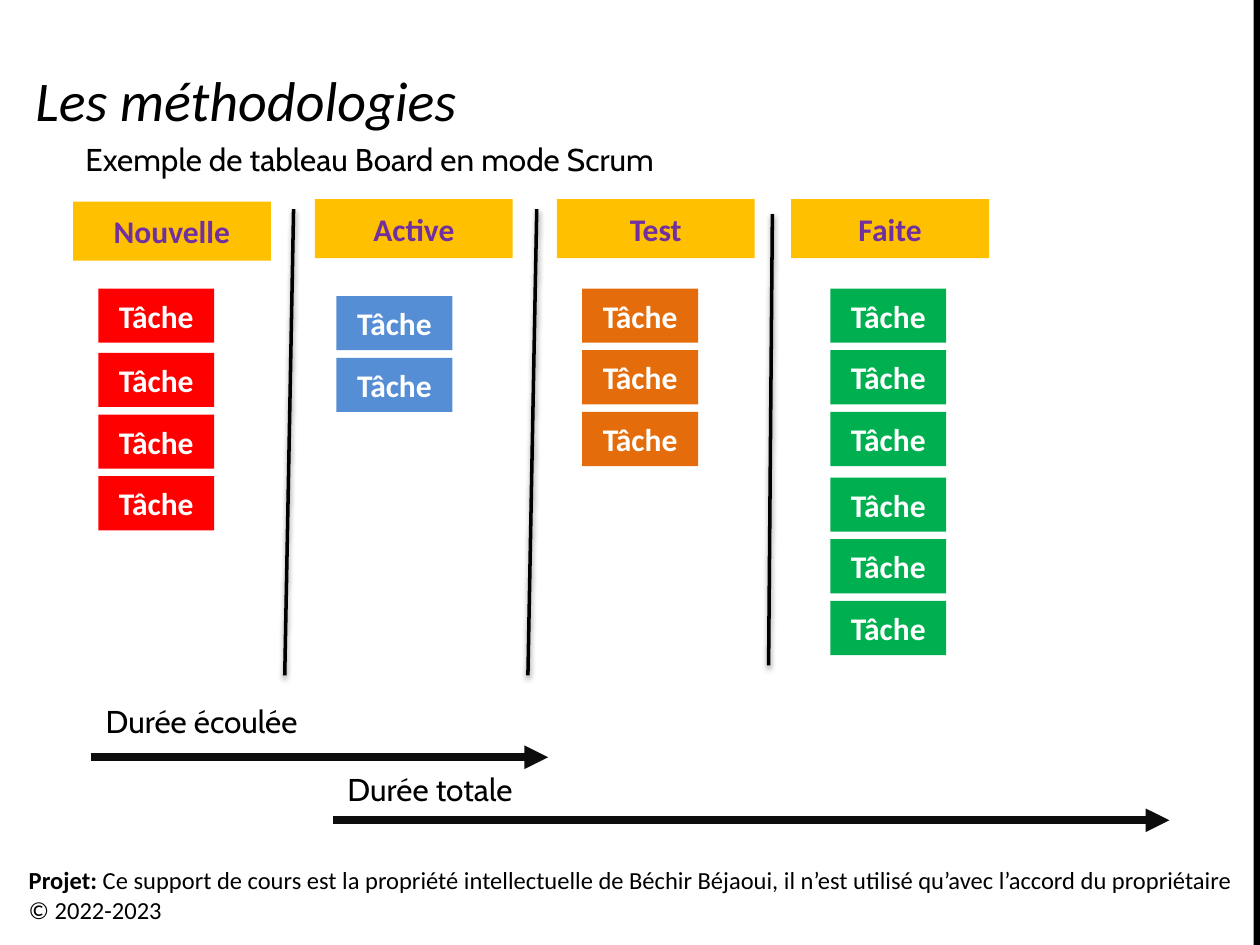
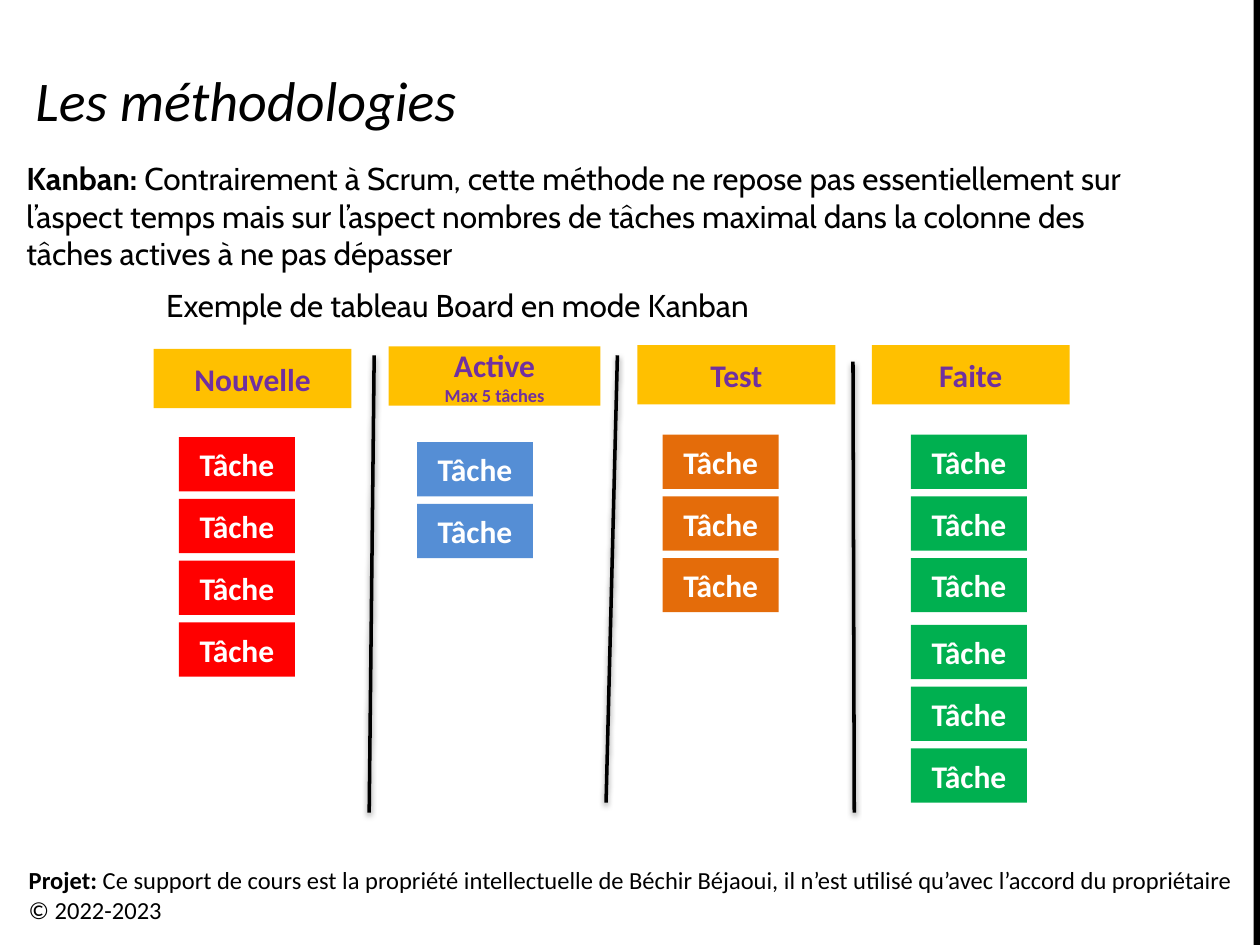
from dataclasses import dataclass
from typing import Any

import lxml.etree
import pptx
import pptx.dml.color
import pptx.enum.shapes
import pptx.enum.text
import pptx.oxml
import pptx.oxml.ns
import pptx.util

Inches = pptx.util.Inches
Pt = pptx.util.Pt
RGBColor = pptx.dml.color.RGBColor
ALIGN = pptx.enum.text.PP_ALIGN
ANCHOR = pptx.enum.text.MSO_ANCHOR
qn = pptx.oxml.ns.qn

BLACK = RGBColor(0x00, 0x00, 0x00)
WHITE = RGBColor(0xFF, 0xFF, 0xFF)
ARROW = RGBColor(0x0D, 0x0D, 0x0D)
AMBER = RGBColor(0xFF, 0xC0, 0x00)
PURPLE = RGBColor(0x70, 0x30, 0xA0)
RED = RGBColor(0xFF, 0x00, 0x00)
BLUE = RGBColor(0x55, 0x8E, 0xD5)
ORANGE = RGBColor(0xE4, 0x6C, 0x0A)
GREEN = RGBColor(0x00, 0xB0, 0x50)

TITLE_FONT = {"name": "Calibri", "size": Pt(32), "italic": True}
FOOTER_FONT = {"name": "Calibri", "size": Pt(14)}
BODY_FONT = {"name": "Cabin", "size": Pt(18)}
HEADER_FONT = {"name": "Calibri", "size": Pt(18), "bold": True}
NOTE_FONT = HEADER_FONT | {"size": Pt(10.5)}
BOLD = {"bold": True}

HEADER_W, NOTED_HEADER_W, HEADER_H = 1.57, 1.68, 0.47
CARD_W, CARD_H, CARD_STEP = 0.92, 0.43, 0.49

SHADOW = (
    f'<a:effectLst {pptx.oxml.ns.nsdecls("a")}>'
    '<a:outerShdw blurRad="40000" dist="20000" dir="5400000" rotWithShape="0">'
    '<a:srgbClr val="000000"><a:alpha val="38000"/></a:srgbClr>'
    "</a:outerShdw></a:effectLst>"
)


@dataclass(frozen=True)
class Column:
    """A board column; offsets in inches from the left edge of the board."""
    name: str
    color: RGBColor
    header_dx: float
    card_dx: float


@dataclass(frozen=True)
class Stack:
    top: float
    count: int


@dataclass(frozen=True)
class Lane:
    """What one board puts into a column."""
    header_top: float
    stacks: tuple[Stack, ...]
    note: str = ""


@dataclass(frozen=True)
class Line:
    x1: float
    y1: float
    x2: float
    y2: float


@dataclass(frozen=True)
class Board:
    caption: str
    caption_top: float
    left: float
    lanes: tuple[Lane, ...]
    dividers: tuple[Line, ...]


@dataclass(frozen=True)
class Duration:
    label: str
    label_top: float
    label_width: float
    arrow: Line


COLUMNS = (
    Column("Nouvelle", RED, 0, 0.2),
    Column("Active", BLUE, 1.92, 2.09),
    Column("Test", ORANGE, 3.84, 4.04),
    Column("Faite", GREEN, 5.7, 6.01),
)

SCRUM = Board(
    "Exemple de tableau Board en mode Scrum", 1.06, 0.58,
    (
        Lane(1.6, (Stack(2.29, 1), Stack(2.8, 3))),
        Lane(1.58, (Stack(2.35, 2),)),
        Lane(1.58, (Stack(2.29, 3),)),
        Lane(1.58, (Stack(2.29, 3), Stack(3.79, 3))),
    ),
    (
        Line(2.33, 1.66, 2.26, 5.36),
        Line(4.26, 1.66, 4.19, 5.36),
        Line(6.13, 1.7, 6.1, 5.28),
    ),
)

KANBAN = Board(
    "Exemple de tableau Board en mode Kanban", 2.22, 1.22,
    (
        Lane(2.77, (Stack(3.47, 4),)),
        Lane(2.75, (Stack(3.51, 2),), "Max 5 tâches"),
        Lane(2.74, (Stack(3.45, 3),)),
        Lane(2.74, (Stack(3.45, 3), Stack(4.96, 3))),
    ),
    (
        Line(2.97, 2.82, 2.93, 6.45),
        Line(4.9, 2.82, 4.81, 6.37),
        Line(6.77, 2.87, 6.78, 6.45),
    ),
)

DURATIONS = (
    Duration("Durée écoulée", 5.52, 1.74, Line(0.72, 6.01, 4.35, 6.01)),
    Duration("Durée totale", 6.06, 1.54, Line(2.64, 6.51, 9.28, 6.51)),
)


def add_run(p: Any, text: str, font: dict[str, Any], color: RGBColor = BLACK) -> None:
    r = p.add_run()
    r.text = text
    for key, value in font.items():
        setattr(r.font, key, value)
    r.font.color.rgb = color


def place(sp: Any, left: float, top: float, width: float, height: float) -> None:
    box = {"left": left, "top": top, "width": width, "height": height}
    for key, value in box.items():
        setattr(sp, key, Inches(value))
    tf = sp.text_frame
    tf.auto_size = pptx.enum.text.MSO_AUTO_SIZE.NONE
    tf.vertical_anchor = ANCHOR.TOP
    tf.word_wrap = True


def add_rect(s: Any, left: float, top: float, width: float, height: float,
             color: RGBColor) -> Any:
    sp = s.shapes.add_shape(pptx.enum.shapes.MSO_SHAPE.RECTANGLE, Inches(left),
                            Inches(top), Inches(width), Inches(height))
    sp.shadow.inherit = False
    sp.fill.solid()
    sp.fill.fore_color.rgb = color
    sp.line.fill.background()
    sp.text_frame.vertical_anchor = ANCHOR.MIDDLE
    sp.text_frame.paragraphs[0].alignment = ALIGN.CENTER
    return sp


def add_label(s: Any, text: str, left: float, top: float, width: float) -> None:
    sp = s.shapes.add_textbox(Inches(left), Inches(top), Inches(width), Inches(0.4))
    sp.text_frame.word_wrap = False
    add_run(sp.text_frame.paragraphs[0], text, BODY_FONT)


def add_line(s: Any, line: Line, color: RGBColor, width: float) -> Any:
    """Draw a straight line and return its properties element."""
    sp = s.shapes.add_connector(
        pptx.enum.shapes.MSO_CONNECTOR.STRAIGHT,
        Inches(line.x1), Inches(line.y1), Inches(line.x2), Inches(line.y2))
    sp.line.color.rgb = color
    sp.line.width = Pt(width)
    return sp.element.spPr


def add_divider(s: Any, line: Line) -> None:
    add_line(s, line, BLACK, 2).append(pptx.oxml.parse_xml(SHADOW))


def add_duration(s: Any, duration: Duration) -> None:
    sp_pr = add_line(s, duration.arrow, ARROW, 4.5)
    lxml.etree.SubElement(sp_pr.find(qn("a:ln")), qn("a:tailEnd"), type="triangle")
    lxml.etree.SubElement(sp_pr, qn("a:effectLst"))
    add_label(s, duration.label, duration.arrow.x1 + 0.02, duration.label_top,
              duration.label_width)


def add_header(s: Any, column: Column, lane: Lane, board_left: float) -> None:
    """Draw a column header, widened about its centre when it has a note."""
    width = NOTED_HEADER_W if lane.note else HEADER_W
    left = board_left + column.header_dx - (width - HEADER_W) / 2
    tf = add_rect(s, left, lane.header_top, width, HEADER_H, AMBER).text_frame
    add_run(tf.paragraphs[0], column.name, HEADER_FONT, PURPLE)
    if lane.note:
        p = tf.add_paragraph()
        p.alignment = ALIGN.CENTER
        add_run(p, lane.note, NOTE_FONT, PURPLE)


def add_board(s: Any, board: Board) -> None:
    for line in board.dividers:
        add_divider(s, line)
    for column, lane in zip(COLUMNS, board.lanes):
        add_header(s, column, lane, board.left)
        for stack in lane.stacks:
            for i in range(stack.count):
                sp = add_rect(s, board.left + column.card_dx,
                              stack.top + i * CARD_STEP, CARD_W, CARD_H, column.color)
                add_run(sp.text_frame.paragraphs[0], "Tâche", HEADER_FONT, WHITE)
    add_label(s, board.caption, board.left, board.caption_top, 4.9)


def add_course_slide(prs: Any, layout: int) -> Any:
    """Add a slide with the course title, right band and footer."""
    s = prs.slides.add_slide(prs.slide_layouts[layout])
    add_rect(s, 9.95, 0, 0.05, 7.5, BLACK)
    footer = s.shapes.add_textbox(0, 0, 0, 0)
    place(footer, 0.13, 6.82, 9.84, 0.57)
    p = footer.text_frame.paragraphs[0]
    add_run(p, "Projet:", FOOTER_FONT | BOLD)
    add_run(p, " Ce support de cours est la propriété intellectuelle de Béchir Béjaoui, "
            "il n’est utilisé qu’avec l’accord du propriétaire © 2022-2023", FOOTER_FONT)
    title = s.shapes.title
    place(title, 0.18, 0.47, 5.26, 0.64)
    p = title.text_frame.paragraphs[0]
    p.alignment = ALIGN.LEFT
    add_run(p, "Les méthodologies", TITLE_FONT)
    return s


def add_kanban_definition(s: Any) -> None:
    body = s.placeholders[1]
    place(body, 0.11, 1.21, 9.32, 1.01)
    p = body.text_frame.paragraphs[0]
    p.space_before = Pt(0)
    add_run(p, "Kanban: ", BODY_FONT | BOLD)
    add_run(p, "Contrairement à Scrum, cette méthode ne repose pas essentiellement sur "
            "l’aspect temps mais sur l’aspect nombres de tâches maximal dans la colonne "
            "des tâches actives à ne pas dépasser", BODY_FONT)
    p_pr = p._p.get_or_add_pPr()
    p_pr.set("marL", "0")
    p_pr.set("indent", "0")
    lxml.etree.SubElement(p_pr, qn("a:buNone"))


def main() -> None:
    prs = pptx.Presentation()
    prs.slide_width, prs.slide_height = Inches(10), Inches(7.5)

    s = add_course_slide(prs, layout=5)
    add_board(s, SCRUM)
    for duration in DURATIONS:
        add_duration(s, duration)

    s = add_course_slide(prs, layout=1)
    add_kanban_definition(s)
    add_board(s, KANBAN)

    prs.save("out.pptx")


if __name__ == "__main__":
    main()
